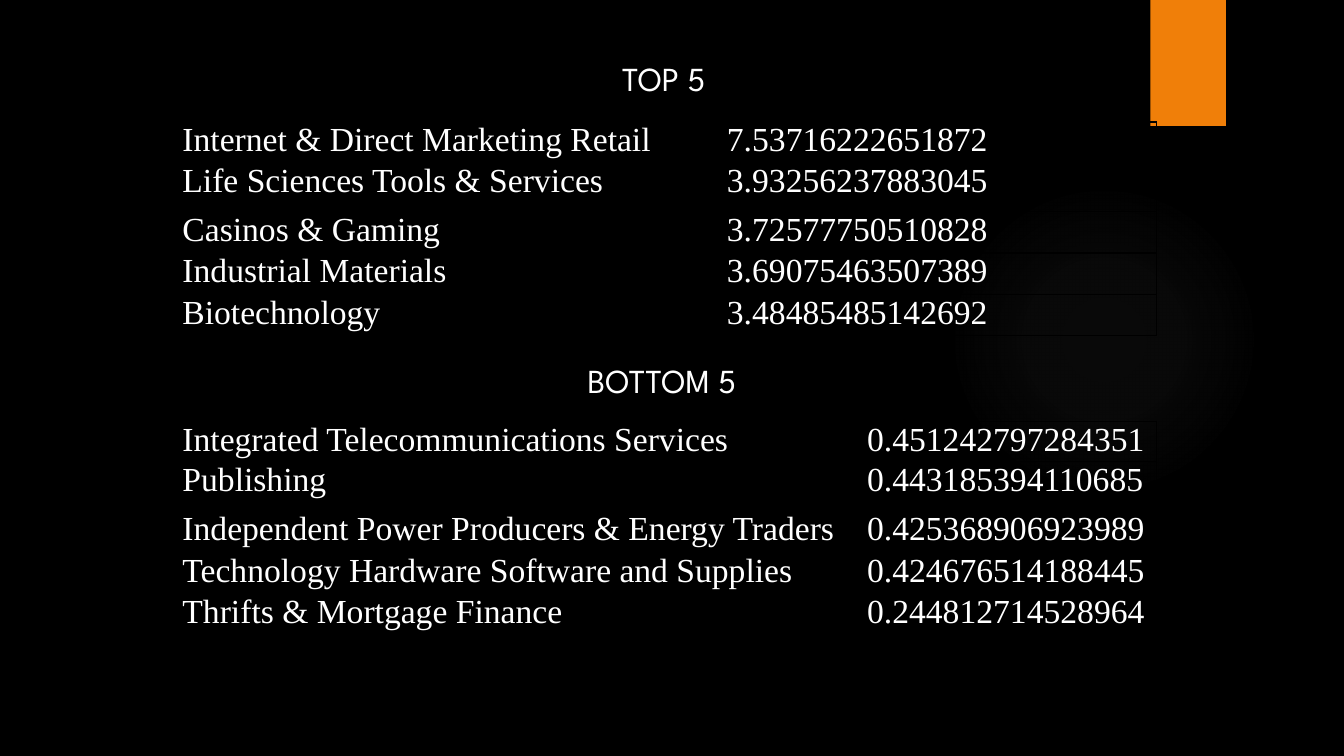
from dataclasses import dataclass

from lxml import etree
from pptx import Presentation
from pptx.dml.color import RGBColor
from pptx.enum import shapes, text
from pptx.oxml import ns, parse_xml
from pptx.util import Emu, Pt

PX = 9144  # EMU per px, 100 px to the inch
BLACK = RGBColor(0x00, 0x00, 0x00)
WHITE = RGBColor(0xFF, 0xFF, 0xFF)
ORANGE = RGBColor(0xF0, 0x7F, 0x09)
GLOW = RGBColor(0x84, 0x84, 0x84)
HEADING_FONT = "League Spartan"
TABLE_FONT = "Times New Roman"
TEXT_SIZE = Pt(24)


@dataclass(frozen=True)
class Box:
    left: int
    top: int
    width: int
    height: int

    def emu(self) -> tuple[Emu, ...]:
        return tuple(px(n) for n in (self.left, self.top, self.width, self.height))


@dataclass(frozen=True)
class Ranking:
    heading: str
    heading_box: Box
    table_top: int
    columns: tuple[int, int]
    first_row: int
    industries: tuple[tuple[str, str], ...]


TABLE_LEFT = 174
LATER_ROWS = (49, 41, 41, 41)

RANKINGS = (
    Ranking("TOP 5", Box(607, 52, 154, 50), 121, (540, 433), 13, (
        ("Internet & Direct Marketing Retail", "7.53716222651872"),
        ("Life Sciences Tools & Services", "3.93256237883045"),
        ("Casinos & Gaming", "3.72577750510828"),
        ("Industrial Materials", "3.69075463507389"),
        ("Biotechnology", "3.48485485142692"),
    )),
    Ranking("BOTTOM 5", Box(573, 352, 228, 50), 418, (679, 294), 5, (
        ("Integrated Telecommunications Services", "0.451242797284351"),
        ("Publishing", "0.443185394110685"),
        ("Independent Power Producers & Energy Traders", "0.425368906923989"),
        ("Technology Hardware Software and Supplies", "0.424676514188445"),
        ("Thrifts & Mortgage Finance", "0.244812714528964"),
    )),
)


def px(n: int) -> Emu:
    return Emu(n * PX)


def add_words(paragraph, words: str, font: str) -> None:
    run = paragraph.add_run()
    run.text = words
    run.font.name = font
    run.font.size = TEXT_SIZE
    run.font.color.rgb = WHITE


def add_plain_shape(slide, kind, box: Box, color: RGBColor):
    shape = slide.shapes.add_shape(kind, *box.emu())
    shape.shadow.inherit = False
    shape.fill.solid()
    shape.fill.fore_color.rgb = color
    shape.line.fill.background()
    return shape


def fade_to_edge(shape, color: RGBColor) -> None:
    """Radial fill of (position, opacity) stops in percent."""
    stops = "".join(
        f'<a:gs pos="{at * 1000}"><a:srgbClr val="{color}">'
        f'<a:alpha val="{opacity * 1000}"/></a:srgbClr></a:gs>'
        for at, opacity in ((0, 7), (36, 6), (69, 0))
    )
    gradient = parse_xml(
        f'<a:gradFill {ns.nsdecls("a")}><a:gsLst>{stops}</a:gsLst>'
        '<a:path path="circle"><a:fillToRect l="50000" t="50000" r="50000" b="50000"/>'
        "</a:path></a:gradFill>"
    )
    properties = shape.element.spPr
    properties.replace(properties.find(ns.qn("a:solidFill")), gradient)


def format_heading(heading, ranking: Ranking) -> None:
    heading.left, heading.top, heading.width, heading.height = ranking.heading_box.emu()
    frame = heading.text_frame
    frame.word_wrap = True
    frame.auto_size = text.MSO_AUTO_SIZE.SHAPE_TO_FIT_TEXT
    frame.vertical_anchor = text.MSO_ANCHOR.TOP
    frame.paragraphs[0].alignment = text.PP_ALIGN.LEFT
    add_words(frame.paragraphs[0], ranking.heading, HEADING_FONT)


def add_borders(cell) -> None:
    properties = cell._tc.get_or_add_tcPr()
    for position, side in enumerate(("lnL", "lnR", "lnT", "lnB")):
        border = etree.Element(ns.qn(f"a:{side}"), w=str(Pt(1)))
        fill = etree.SubElement(border, ns.qn("a:solidFill"))
        etree.SubElement(fill, ns.qn("a:srgbClr"), val=str(BLACK))
        properties.insert(position, border)


def format_cell(cell, words: str) -> None:
    cell.margin_left = cell.margin_right = px(7)
    cell.margin_top = cell.margin_bottom = 0
    cell.fill.background()
    add_borders(cell)
    paragraph = cell.text_frame.paragraphs[0]
    paragraph.alignment = text.PP_ALIGN.JUSTIFY
    add_words(paragraph, words, TABLE_FONT)


def add_ranking_table(slide, ranking: Ranking) -> None:
    heights = (ranking.first_row, *LATER_ROWS)
    box = Box(TABLE_LEFT, ranking.table_top, sum(ranking.columns), sum(heights))
    table = slide.shapes.add_table(len(heights), len(ranking.columns), *box.emu()).table
    table.first_row = table.horz_banding = False
    for column, width in zip(table.columns, ranking.columns):
        column.width = px(width)
    for row, height, industry in zip(table.rows, heights, ranking.industries):
        row.height = px(height)
        for cell, words in zip(row.cells, industry):
            format_cell(cell, words)


def main() -> None:
    deck = Presentation()
    deck.slide_width, deck.slide_height = px(1333), px(750)
    slide = deck.slides.add_slide(deck.slide_layouts.get_by_name("Title Only"))

    # Backdrop
    slide.background.fill.solid()
    slide.background.fill.fore_color.rgb = BLACK
    glow = add_plain_shape(slide, shapes.MSO_SHAPE.OVAL, Box(941, 183, 308, 308), GLOW)
    fade_to_edge(glow, GLOW)
    add_plain_shape(slide, shapes.MSO_SHAPE.RECTANGLE, Box(1141, 0, 75, 125), ORANGE)

    # Tables
    for ranking in RANKINGS:
        add_ranking_table(slide, ranking)

    # Headings
    top, bottom = RANKINGS
    format_heading(slide.shapes.title, top)
    format_heading(slide.shapes.add_textbox(*bottom.heading_box.emu()), bottom)

    deck.save("out.pptx")


if __name__ == "__main__":
    main()
